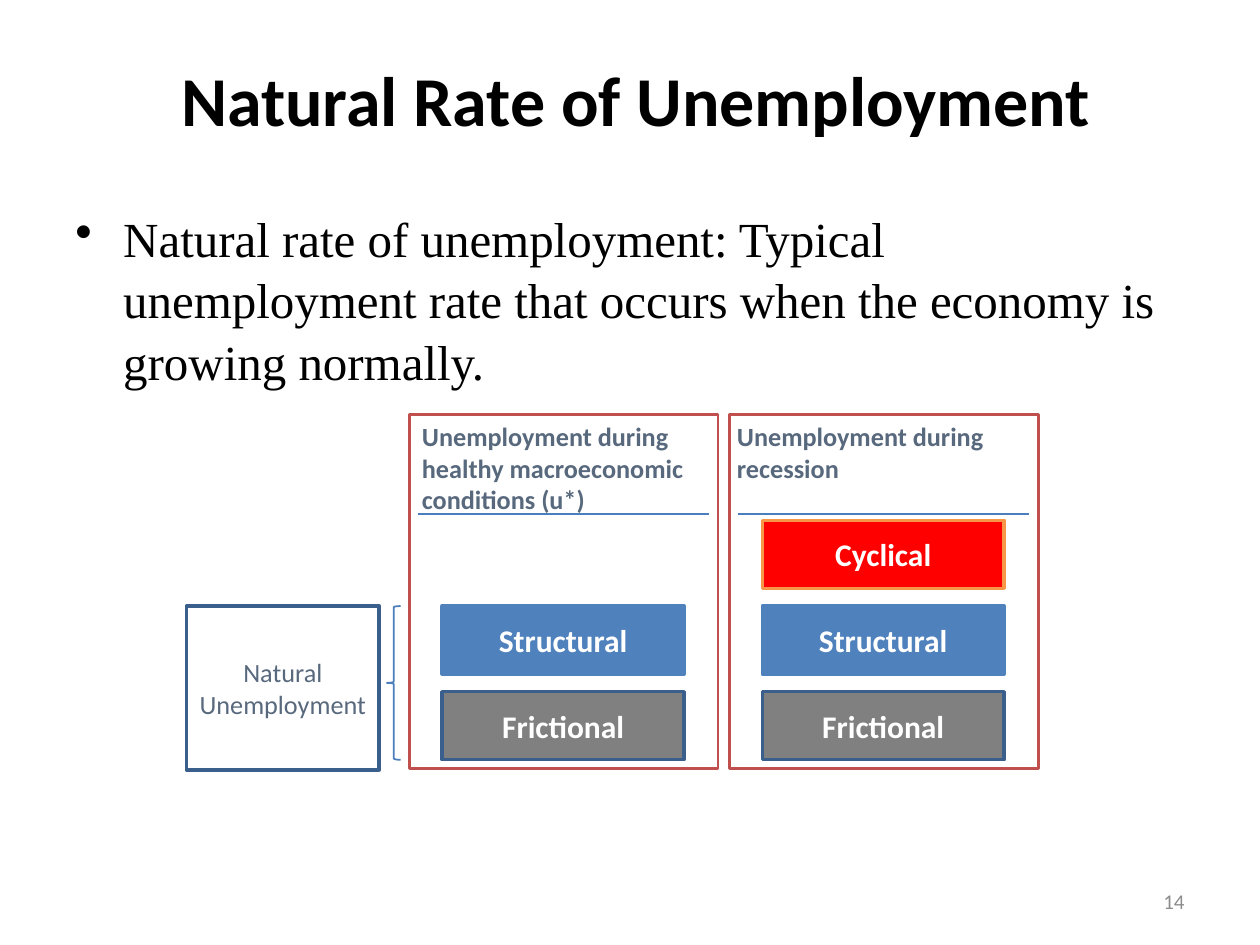
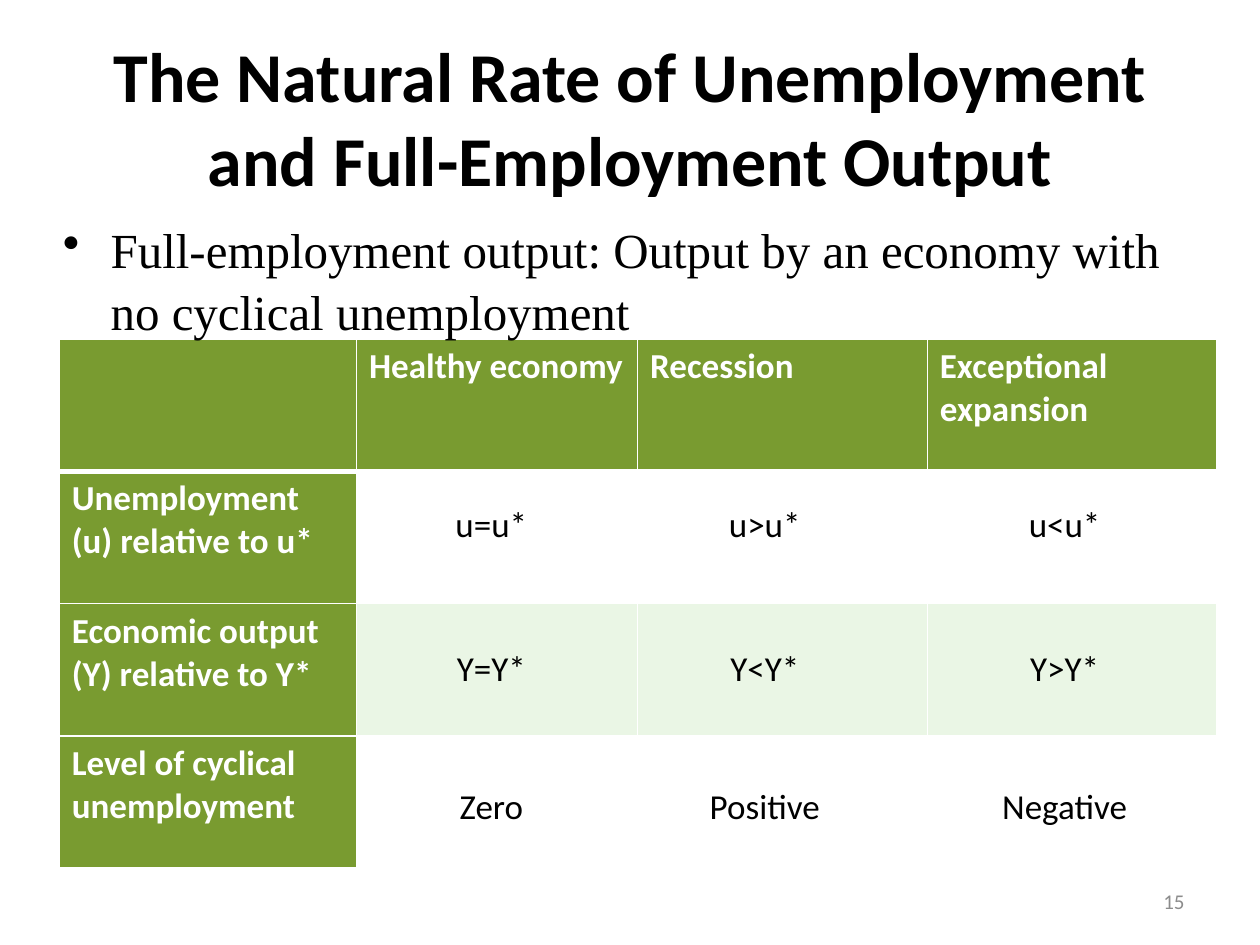
import dataclasses

import lxml.etree
import pptx
import pptx.dml.color
import pptx.enum.shapes
import pptx.enum.text
import pptx.oxml.ns
import pptx.util

Inches = pptx.util.Inches
Pt = pptx.util.Pt
SHAPE = pptx.enum.shapes.MSO_SHAPE
ALIGN = pptx.enum.text.PP_ALIGN
ANCHOR = pptx.enum.text.MSO_ANCHOR
qn = pptx.oxml.ns.qn


@dataclasses.dataclass(frozen=True)
class Theme:
    """Colours, fonts and type sizes of the deck."""
    sans: str = "Calibri"
    serif: str = "Times New Roman"
    black: str = "000000"
    white: str = "FFFFFF"
    slate: str = "58697D"
    gray: str = "808080"
    pale: str = "8C8C8C"
    blue: str = "4F81BD"
    navy: str = "3A5F8C"
    rule: str = "4B7EBC"
    brick: str = "C0504D"
    red: str = "FF0000"
    orange: str = "F79646"
    green: str = "799B30"
    mint: str = "EAF6E5"
    title: int = 40
    body: int = 28
    cell: int = 20
    block: int = 18
    label: int = 15
    foot: int = 12


THEME = Theme()
BLOCKS = {
    "Cyclical": (THEME.red, THEME.orange),
    "Structural": (THEME.blue, THEME.blue),
    "Frictional": (THEME.gray, THEME.navy),
}


def tint(code):
    """Turn a hex code into a colour."""
    return pptx.dml.color.RGBColor.from_string(code)


def write(frame, text, size=THEME.block, color=THEME.black, bold=False, font=THEME.sans,
          align=ALIGN.LEFT, anchor=ANCHOR.TOP, bullet=False, pitch=None):
    """Fill a text frame, one paragraph for each line of text."""
    frame.word_wrap = True
    frame.vertical_anchor = anchor
    for i, line in enumerate(text.split("\n")):
        para = frame.add_paragraph() if i else frame.paragraphs[0]
        para.alignment = align
        if pitch:
            para.line_spacing = pitch
        if bullet:
            props = para._p.get_or_add_pPr()
            props.set("marL", str(Inches(0.38)))
            props.set("indent", str(Inches(-0.38)))
            lxml.etree.SubElement(props, qn("a:buChar")).set("char", "•")
        run = para.add_run()
        run.text = line
        run.font.size = Pt(size)
        run.font.name = font
        run.font.bold = bold
        run.font.color.rgb = tint(color)


def place(box):
    """Convert a box in inches to lengths."""
    return [Inches(n) for n in box]


def add_text(slide, box, text, **style):
    """Add a text box."""
    write(slide.shapes.add_textbox(*place(box)).text_frame, text, **style)


def add_form(slide, box, kind=SHAPE.RECTANGLE, fill=None, line=THEME.navy, width=2):
    """Add a flat preset shape."""
    form = slide.shapes.add_shape(kind, *place(box))
    form.shadow.inherit = False
    if fill:
        form.fill.solid()
        form.fill.fore_color.rgb = tint(fill)
    else:
        form.fill.background()
    form.line.color.rgb = tint(line)
    form.line.width = Pt(width)
    return form


def add_rule(slide, left, top, width):
    """Add a thin level line."""
    rule = slide.shapes.add_connector(pptx.enum.shapes.MSO_CONNECTOR.STRAIGHT,
                                      *place((left, top, left + width, top)))
    rule.line.color.rgb = tint(THEME.rule)
    rule.line.width = Pt(1)
    lxml.etree.SubElement(rule._element.spPr, qn("a:effectLst"))


def add_base(deck, number, title, box):
    """Add a slide with its title and page number."""
    slide = deck.slides.add_slide(deck.slide_layouts[6])
    add_text(slide, box, title, size=THEME.title, bold=True,
             align=ALIGN.CENTER, anchor=ANCHOR.MIDDLE)
    add_text(slide, (7.17, 6.95, 2.33, 0.4), str(number), size=THEME.foot,
             color=THEME.pale, align=ALIGN.RIGHT, anchor=ANCHOR.MIDDLE)
    return slide


def add_body(slide, box, text):
    """Add the bulleted body text."""
    add_text(slide, box, text, size=THEME.body, font=THEME.serif, bullet=True, pitch=1.05)


def add_panel(slide, box, head, names, shift=0):
    """Add a framed panel with a heading and blocks stacked from its foot."""
    left, top, width, height = box
    add_text(slide, (left + shift, top, width, 0.86), head, size=THEME.label,
             color=THEME.slate, bold=True)
    add_form(slide, box, line=THEME.brick, width=1.5)
    add_rule(slide, left + 0.07, top + 0.79, width - 0.14)
    for i, name in enumerate(reversed(names)):
        fill, line = BLOCKS[name]
        spot = (left + 0.26, top + height - 0.61 - 0.68 * i, 1.92, 0.54)
        block = add_form(slide, spot, fill=fill, line=line)
        write(block.text_frame, name, color=THEME.white, bold=True,
              align=ALIGN.CENTER, anchor=ANCHOR.MIDDLE)


def add_key(slide, box):
    """Add the labelled box and its brace."""
    left, top, width, height = box
    form = add_form(slide, box, fill=THEME.white)
    write(form.text_frame, "Natural Unemployment", size=THEME.label, color=THEME.slate,
          align=ALIGN.CENTER, anchor=ANCHOR.MIDDLE)
    add_form(slide, (left + width + 0.06, top, 0.11, height - 0.08),
             kind=SHAPE.LEFT_BRACE, line=THEME.rule, width=1)


def edge(cell, **widths):
    """Draw white borders on the four sides of a cell."""
    props = cell._tc.get_or_add_tcPr()
    for side in "LRTB":
        line = lxml.etree.SubElement(props, qn("a:ln" + side))
        line.set("w", str(Pt(widths.get(side, 1))))
        fill = lxml.etree.SubElement(line, qn("a:solidFill"))
        lxml.etree.SubElement(fill, qn("a:srgbClr")).set("val", THEME.white)


def add_grid(slide, box, heads, labels):
    """Add the table with green heads and row labels."""
    rows, cols = len(labels) + 1, len(heads) + 1
    grid = slide.shapes.add_table(rows, cols, *place(box)).table
    grid.first_row = grid.horz_banding = False
    for col, width in zip(grid.columns, (2.36, 2.23, 2.3, 2.3)):
        col.width = Inches(width)
    for r in range(rows):
        for c in range(cols):
            cell = grid.cell(r, c)
            edge(cell, **({"B": 3} if r == 0 else {"T": 3} if r == 1 else {}))
            fill = THEME.green if r == 0 or c == 0 else THEME.mint if r == 2 else None
            if fill:
                cell.fill.solid()
                cell.fill.fore_color.rgb = tint(fill)
            else:
                cell.fill.background()
            text = heads[c - 1] if r == 0 and c else labels[r - 1] if r and c == 0 else ""
            if text:
                write(cell.text_frame, text, size=THEME.cell, color=THEME.white, bold=True)


def add_marks(slide, box, marks):
    """Set the values over the table, centred by column."""
    left, top = box[:2]
    for drop, row in zip((1.25, 2.39, 3.49), marks):
        for mid, mark in zip((3.43, 5.6, 7.98), row):
            add_text(slide, (left + mid - 0.7, top + drop, 1.4, 0.44), mark,
                     size=THEME.cell, align=ALIGN.CENTER)


def add_rate(deck):
    """Build the slide on the natural rate."""
    slide = add_base(deck, 14, "Natural Rate of Unemployment", (0.42, 0.3, 9.25, 0.97))
    add_body(slide, (0.5, 1.58, 9, 1.53), "Natural rate of unemployment: Typical "
             "unemployment rate that occurs when the economy is growing normally.")
    names = list(BLOCKS)
    add_panel(slide, (3.25, 3.29, 2.45, 2.81),
              "Unemployment during\nhealthy macroeconomic conditions (u*)", names[1:])
    add_panel(slide, (5.79, 3.29, 2.45, 2.81),
              "Unemployment during\nrecession", names, shift=-0.04)
    add_key(slide, (1.48, 4.81, 1.53, 1.3))


def add_output(deck):
    """Build the slide on full-employment output."""
    slide = add_base(deck, 15, "The Natural Rate of Unemployment and Full-Employment Output",
                     (0.5, 0.3, 9, 1.25))
    box = (0.47, 2.69, 9.19, 4.2)
    add_grid(slide, box, ("Healthy economy", "Recession", "Exceptional expansion"),
             ("Unemployment (u) relative to u*", "Economic output (Y) relative to Y*",
              "Level of cyclical unemployment"))
    add_body(slide, (0.4, 1.67, 9.35, 5.2),
             "Full-employment output: Output by an economy with no cyclical unemployment")
    add_marks(slide, box, (("u=u*", "u>u*", "u<u*"), ("Y=Y*", "Y<Y*", "Y>Y*"),
                           ("Zero", "Positive", "Negative")))


def main():
    """Build and save the deck."""
    deck = pptx.Presentation()
    deck.slide_width, deck.slide_height = Inches(10), Inches(7.5)
    add_rate(deck)
    add_output(deck)
    deck.save("out.pptx")


if __name__ == "__main__":
    main()
